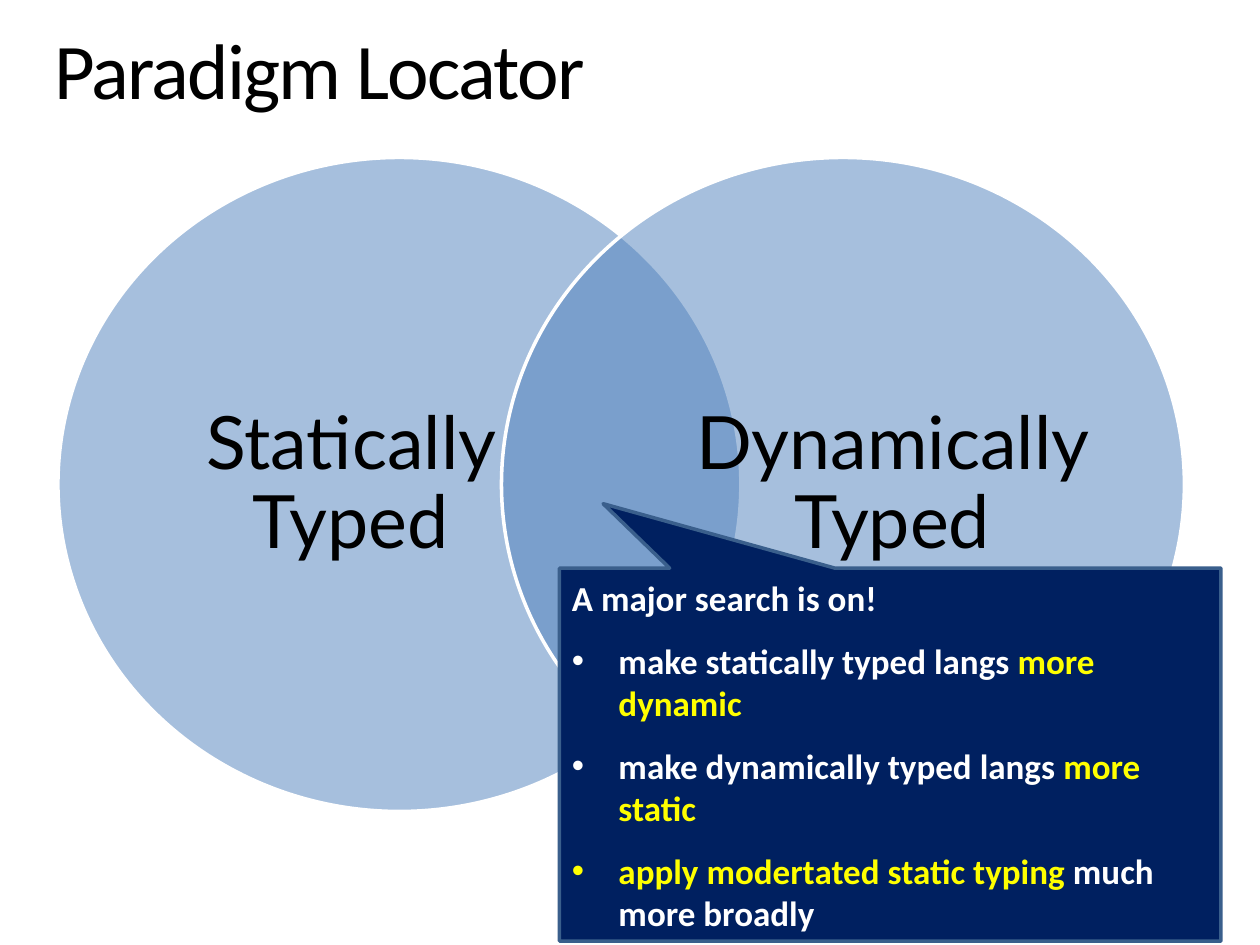
"""Build the Paradigm Locator slide: two overlapping circles and a callout."""
from lxml import etree
from pptx import Presentation
from pptx.dml.color import RGBColor
from pptx.enum.shapes import MSO_SHAPE
from pptx.enum.text import MSO_ANCHOR, PP_ALIGN
from pptx.oxml.ns import qn
from pptx.util import Inches, Pt

OVAL, CALLOUT = MSO_SHAPE.OVAL, MSO_SHAPE.RECTANGULAR_CALLOUT
TOP, MIDDLE = MSO_ANCHOR.TOP, MSO_ANCHOR.MIDDLE
LEFT, CENTER = PP_ALIGN.LEFT, PP_ALIGN.CENTER

COLORS = {"black": "000000", "white": "FFFFFF", "circle": "4F81BD",
          "navy": "002060", "edge": "3A5F8C", "yellow": "FFFF00"}
TITLE = "Paradigm Locator"
CIRCLES = ["Statically Typed", "Dynamically Typed"]
HEADING = [("A major search is on!", "white")]
GOALS = [
    [("make statically typed langs ", "white"), ("more dynamic", "yellow")],
    [("make dynamically typed langs ", "white"), ("more static", "yellow")],
    [("apply modertated static typing ", "yellow"), ("much more broadly", "white")],
]

TITLE_BOX = (0.43, 0.25, 9.15, 0.68)
CIRCLE_BOX, CIRCLE_STEP = (0.46, 1.25, 5.42, 5.19), 3.52
LABEL_BOX, LABEL_STEP = (1.22, 1.87, 3.12, 3.96), 4.3
CALLOUT_BOX, POINTER = (4.44, 4.51, 5.25, 2.96), (-0.434, -0.673)

TITLE_FONT = {"name": "Calibri", "size": Pt(45)}
LABEL_FONT = {"name": "Lato", "size": Pt(42)}
CALLOUT_FONT = {"name": "Calibri", "size": Pt(20), "bold": True}


def rgb(name):
    return RGBColor.from_string(COLORS[name])


def place(box, index=0, step=0):
    left, *rest = box
    return [Inches(v) for v in (left + index * step, *rest)]


def set_frame(tf, anchor, x=0, y=0):
    values = {"word_wrap": True, "vertical_anchor": anchor,
              "margin_left": Inches(x), "margin_right": Inches(x),
              "margin_top": Inches(y), "margin_bottom": Inches(y)}
    for key, value in values.items():
        setattr(tf, key, value)


def write(p, runs, font, align, spacing=1.0):
    p.alignment, p.line_spacing = align, spacing
    for text, color in runs:
        r = p.add_run()
        r.text = text
        for key, value in font.items():
            setattr(r.font, key, value)
        r.font.color.rgb = rgb(color)


def add_shape(slide, kind, box, fill, line):
    s = slide.shapes.add_shape(kind, *box)
    s.shadow.inherit = False
    s.fill.solid()
    s.fill.fore_color.rgb = rgb(fill)
    s.line.color.rgb = rgb(line)
    s.line.width = Pt(2)
    return s


def add_title(slide):
    s = slide.shapes.title
    s.left, s.top, s.width, s.height = place(TITLE_BOX)
    set_frame(s.text_frame, TOP)
    p = s.text_frame.paragraphs[0]
    write(p, [(TITLE, "black")], TITLE_FONT, LEFT, 0.9)
    p.runs[0].font._element.set("spc", "-100")


def add_circle(slide, index, label):
    s = add_shape(slide, OVAL, place(CIRCLE_BOX, index, CIRCLE_STEP), "circle", "white")
    color = s._element.spPr.find(qn("a:solidFill"))[0]
    etree.SubElement(color, qn("a:alpha"), val="50000")
    tf = slide.shapes.add_textbox(*place(LABEL_BOX, index, LABEL_STEP)).text_frame
    set_frame(tf, MIDDLE)
    write(tf.paragraphs[0], [(label, "black")], LABEL_FONT, CENTER, 0.9)


def add_bullet(p):
    pPr = p._p.get_or_add_pPr()
    indent = Inches(0.37)
    pPr.set("marL", str(indent))
    pPr.set("indent", str(-indent))
    etree.SubElement(pPr, qn("a:buFont"), typeface="Arial")
    etree.SubElement(pPr, qn("a:buChar"), char="•")


def add_callout(slide):
    s = add_shape(slide, CALLOUT, place(CALLOUT_BOX), "navy", "edge")
    for i, value in enumerate(POINTER):
        s.adjustments[i] = value
    tf = s.text_frame
    set_frame(tf, MIDDLE, 0.1, 0.05)
    write(tf.paragraphs[0], HEADING, CALLOUT_FONT, LEFT)
    for runs in GOALS:
        p = tf.add_paragraph()
        add_bullet(p)
        p.space_before = Pt(12)
        write(p, runs, CALLOUT_FONT, LEFT)


def main():
    prs = Presentation()
    prs.slide_width, prs.slide_height = Inches(10), Inches(7.5)
    slide = prs.slides.add_slide(prs.slide_layouts[5])
    add_title(slide)
    for index, label in enumerate(CIRCLES):
        add_circle(slide, index, label)
    add_callout(slide)
    prs.save("out.pptx")


if __name__ == "__main__":
    main()
